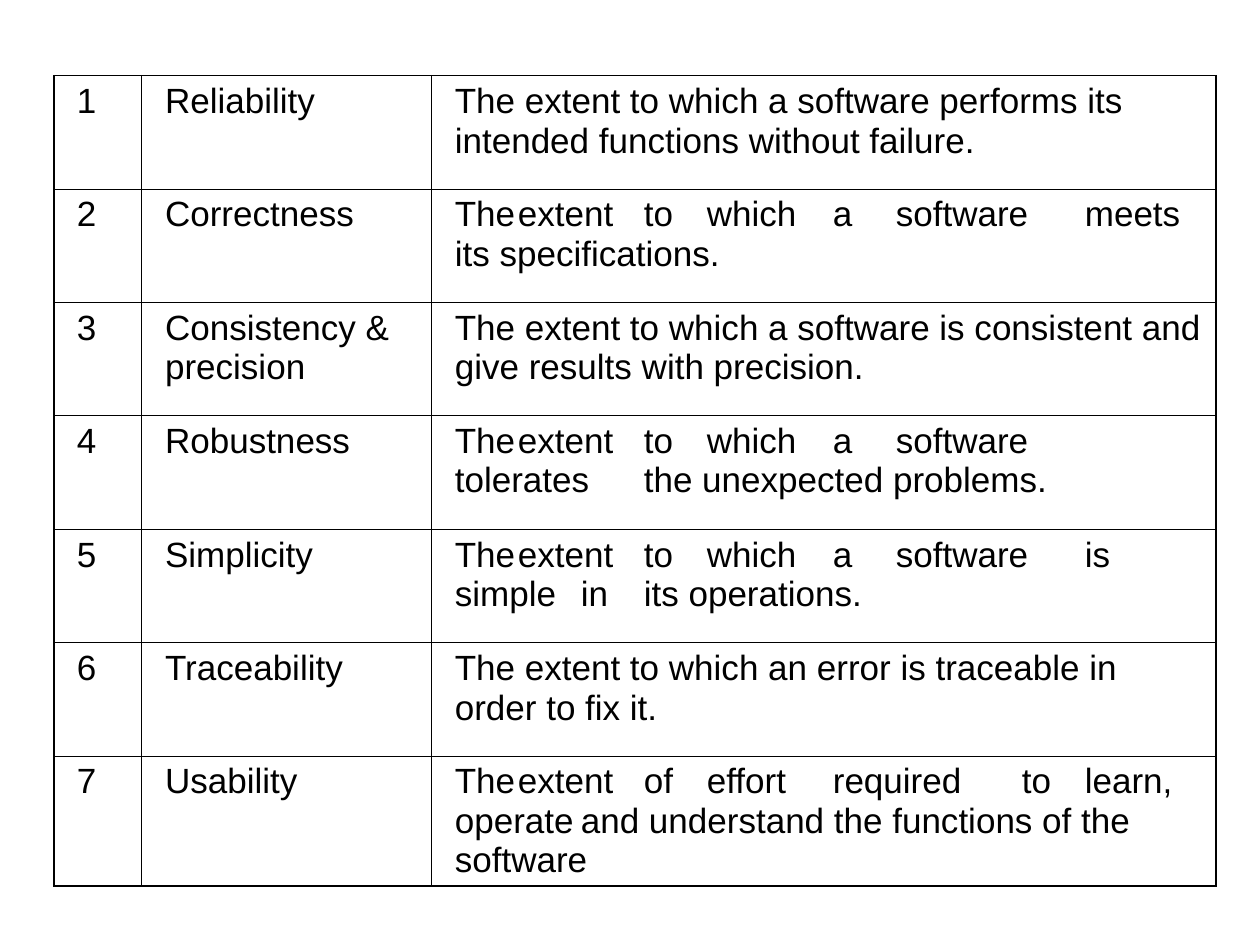
from lxml import etree
from pptx import Presentation
from pptx import util as u
from pptx.dml.color import RGBColor
from pptx.oxml import ns

THIN, THICK = 0.45, 1.08
COLUMN_WIDTHS = [0.69, 2.3, 6.23]
ROW_HEIGHT = 0.9
INDENTS = [0.08, 0.09, 0.09]

QUALITIES = [
    ("Reliability",
     "The extent to which a software performs its intended functions without failure.",
     [], 1.01),
    ("Correctness",
     "The\textent\tto\twhich\ta\tsoftware\tmeets\tits specifications.",
     [0.8, 1.75, 2.23, 3.14, 3.56, 4.77, 5.73], None),
    ("Consistency & precision",
     "The extent to which a software is consistent and give results with precision.",
     [], None),
    ("Robustness",
     "The\textent\tto\twhich\ta\tsoftware\ttolerates\tthe unexpected problems.",
     [0.74, 1.65, 2.07, 2.93, 3.29, 4.45, 5.63], None),
    ("Simplicity",
     "The\textent\tto\twhich\ta\tsoftware\tis\tsimple\tin\tits operations.",
     [0.69, 1.53, 1.91, 2.72, 3.02, 4.13, 4.48, 5.37, 5.7], None),
    ("Traceability",
     "The extent to which an error is traceable in order to fix it.",
     [], 1.01),
    ("Usability",
     "The\textent\tof\teffort\trequired\tto\tlearn,\toperate\tand understand "
     "the functions of the software",
     [0.63, 1.1, 1.55, 1.93, 2.71, 3.88, 4.28, 5.2], None),
]


def colour(value):
    return RGBColor.from_string(value)


class SlideBuilder:
    font_name = "Arial"
    font_size = 20
    ink = "000000"

    def __init__(self, deck):
        self.slide = deck.slides.add_slide(deck.slide_layouts[6])

    def table(self, left, top, widths, row_height, row_count):
        frame = self.slide.shapes.add_table(
            row_count, len(widths), u.Inches(left), u.Inches(top),
            u.Inches(sum(widths)), u.Inches(row_height * row_count))
        table = frame.table
        table.first_row = False
        table.horz_banding = False
        for column, width in zip(table.columns, widths):
            column.width = u.Inches(width)
        for row in table.rows:
            row.height = u.Inches(row_height)
        return table

    def cell(self, cell, content, indent, tabs=(), spacing=None):
        cell.text_frame.text = content
        para = cell.text_frame.paragraphs[0]
        properties = para._p.get_or_add_pPr()
        properties.set("marL", str(u.Inches(indent)))
        properties.set("indent", "0")
        if tabs:
            tab_list = etree.SubElement(properties, ns.qn("a:tabLst"))
            for position in tabs:
                etree.SubElement(tab_list, ns.qn("a:tab"),
                                 pos=str(u.Inches(position)), algn="l")
        if spacing:
            para.line_spacing = spacing
        for span in para.runs:
            span.font.name = self.font_name
            span.font.size = u.Pt(self.font_size)
            span.font.color.rgb = colour(self.ink)

    def borders(self, cell, widths):
        properties = cell._tc.get_or_add_tcPr()
        for side, width in zip("LRTB", widths):
            line = etree.SubElement(properties, ns.qn(f"a:ln{side}"),
                                    w=str(u.Pt(width)))
            fill = etree.SubElement(line, ns.qn("a:solidFill"))
            etree.SubElement(fill, ns.qn("a:srgbClr"), val=self.ink)
        cell.fill.background()


def main():
    deck = Presentation()
    deck.slide_width = u.Inches(10)
    deck.slide_height = u.Inches(7.5)
    builder = SlideBuilder(deck)
    table = builder.table(0.43, 0.6, COLUMN_WIDTHS, ROW_HEIGHT, len(QUALITIES))
    last_row, last_column = len(QUALITIES) - 1, len(COLUMN_WIDTHS) - 1

    for row, (quality, meaning, tabs, spacing) in enumerate(QUALITIES):
        cells = [table.cell(row, column) for column in range(last_column + 1)]
        builder.cell(cells[0], str(row + 1), INDENTS[0])
        builder.cell(cells[1], quality, INDENTS[1])
        builder.cell(cells[2], meaning, INDENTS[2], tabs, spacing)
        for column, cell in enumerate(cells):
            outer = (column == 0, column == last_column, row == 0, row == last_row)
            builder.borders(cell, [THICK if edge else THIN for edge in outer])

    deck.save("out.pptx")


if __name__ == "__main__":
    main()
